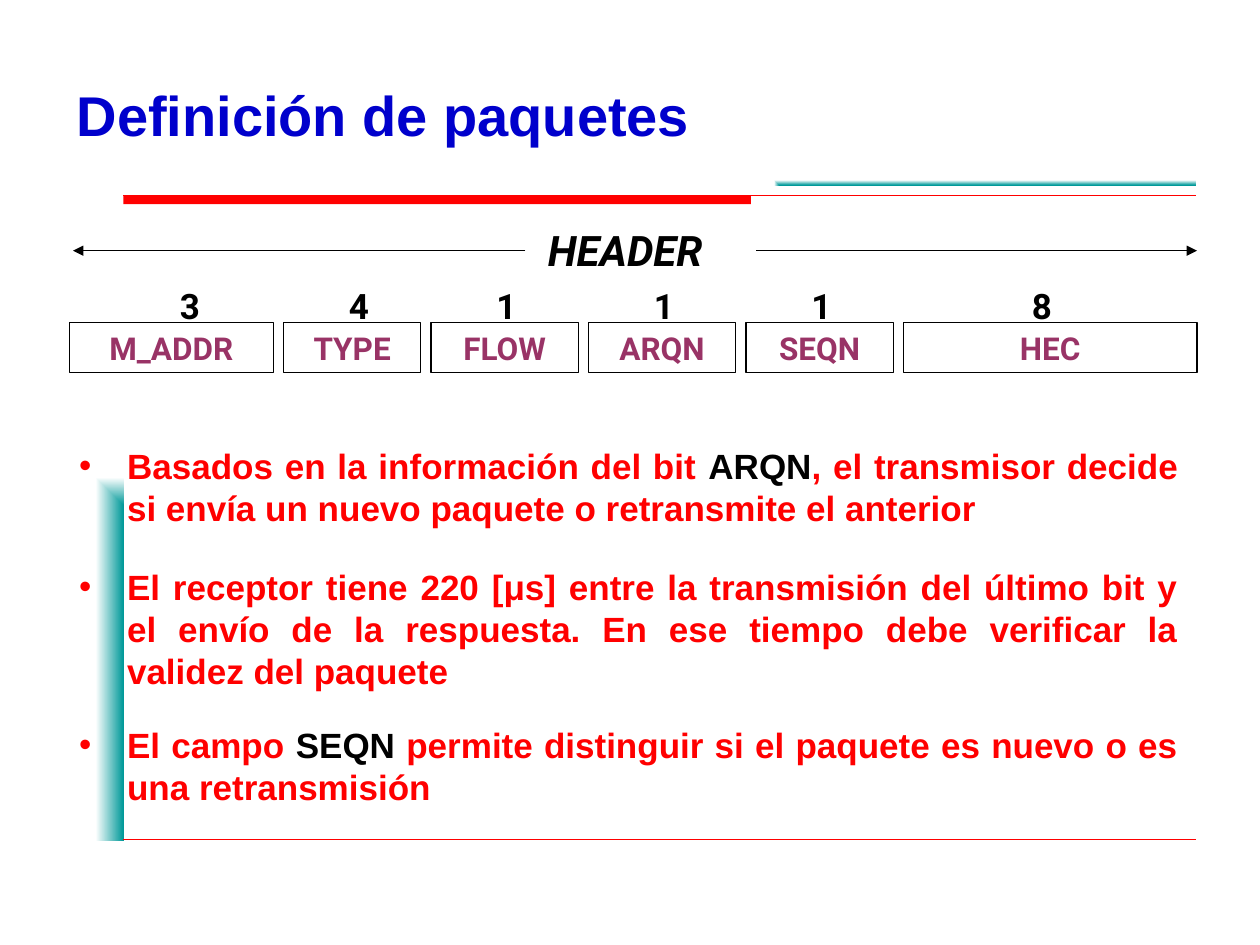
from dataclasses import dataclass

import pptx
import pptx.dml.color
import pptx.enum.shapes
import pptx.enum.text
import pptx.oxml
import pptx.oxml.ns
import pptx.util

Inches = pptx.util.Inches
Pt = pptx.util.Pt
ALIGN = pptx.enum.text.PP_ALIGN
ANCHOR = pptx.enum.text.MSO_ANCHOR
RECT = pptx.enum.shapes.MSO_SHAPE.RECTANGLE
STRAIGHT = pptx.enum.shapes.MSO_CONNECTOR.STRAIGHT
NS = pptx.oxml.ns.nsdecls("a")

RED, BLACK, TEAL = "FF0000", "000000", "009999"
GRADIENT = (
    f'<a:gradFill {NS} rotWithShape="1"><a:gsLst>'
    f'<a:gs pos="0"><a:srgbClr val="{TEAL}"/></a:gs>'
    '<a:gs pos="100000"><a:srgbClr val="FFFFFF"/></a:gs></a:gsLst>'
    '<a:path path="rect"><a:fillToRect l="100000" t="100000"/></a:path>'
    "</a:gradFill>"
)

TITLE_FONT = {"name": "Arial", "size": Pt(32), "bold": True}
BODY_FONT = {"name": "Arial", "size": Pt(20), "bold": True}
FIELD_FONT = {"name": "Roboto", "size": Pt(18), "bold": True}
BITS_FONT = {"name": "Roboto", "size": Pt(20), "bold": True}
HEADER_FONT = {"name": "Roboto", "size": Pt(24), "bold": True, "italic": True}


@dataclass
class Field:
    name: str
    width: float
    bits: str
    bits_left: float


@dataclass
class Bullet:
    runs: list[tuple[str, str]]
    space_before: float


FIELDS = [
    Field("M_ADDR", 1.62, "3", 1.33),
    Field("TYPE", 1.09, "4", 2.67),
    Field("FLOW", 1.17, "1", 3.84),
    Field("ARQN", 1.17, "1", 5.09),
    Field("SEQN", 1.17, "1", 6.34),
    Field("HEC", 2.33, "8", 8.09),
]
FIELD_LEFT, FIELD_GAP = 0.55, 0.08

BULLETS = [
    Bullet([
        ("Basados en la información del bit ", RED),
        ("ARQN", BLACK),
        (", el transmisor decide si envía un nuevo paquete o retransmite el anterior", RED),
    ], 0),
    Bullet([
        ("El receptor tiene 220 [μs] entre la transmisión del último bit y el envío "
         "de la respuesta. En ese tiempo debe verificar la validez del paquete", RED),
    ], 21),
    Bullet([
        ("El campo ", RED),
        ("SEQN", BLACK),
        (" permite distinguir si el paquete es nuevo o es una retransmisión", RED),
    ], 18.5),
]


def rgb(value: str) -> pptx.dml.color.RGBColor:
    return pptx.dml.color.RGBColor.from_string(value)


def apply(target, values: dict) -> None:
    for key, value in values.items():
        setattr(target, key, value)


def add_run(p, text: str, font: dict, color: str) -> None:
    r = p.add_run()
    r.text = text
    apply(r.font, font)
    r.font.color.rgb = rgb(color)


def add_text(s, box: tuple, text: str, font: dict, color: str,
             align=ALIGN.LEFT, anchor=ANCHOR.TOP, wrap: bool = False) -> None:
    sp = s.shapes.add_textbox(*map(Inches, box))
    tf = sp.text_frame
    apply(tf, {"word_wrap": wrap, "vertical_anchor": anchor})
    p = tf.paragraphs[0]
    p.alignment = align
    add_run(p, text, font, color)


def add_rect(s, box: tuple):
    sp = s.shapes.add_shape(RECT, *map(Inches, box))
    sp.shadow.inherit = False
    sp.fill.background()
    sp.line.fill.background()
    return sp


def add_gradient_bar(s, box: tuple) -> None:
    spPr = add_rect(s, box)._element.spPr
    no_fill = spPr.find(pptx.oxml.ns.qn("a:noFill"))
    spPr.replace(no_fill, pptx.oxml.parse_xml(GRADIENT))


def add_line(s, start: tuple, end: tuple, color: str, width: float,
             arrow: bool = False) -> None:
    sp = s.shapes.add_connector(STRAIGHT, *map(Inches, start + end))
    sp.line.color.rgb = rgb(color)
    sp.line.width = Pt(width)
    if arrow:
        sp.line._get_or_add_ln().append(
            pptx.oxml.parse_xml(f'<a:tailEnd {NS} type="triangle"/>'))
    sp._element.spPr.append(pptx.oxml.parse_xml(f"<a:effectLst {NS}/>"))


def add_field(s, field: Field, left: float) -> None:
    sp = add_rect(s, (left, 2.56, field.width, 0.4))
    sp.line.color.rgb = rgb(BLACK)
    sp.line.width = Pt(0.75)
    tf = sp.text_frame
    apply(tf, {"word_wrap": True, "vertical_anchor": ANCHOR.TOP})
    p = tf.paragraphs[0]
    p.alignment = ALIGN.CENTER
    add_run(p, field.name, FIELD_FONT, "993366")
    add_text(s, (field.bits_left, 2.21, 0.35, 0.43), field.bits,
             BITS_FONT, BLACK, ALIGN.CENTER)


def add_bullets(s, box: tuple, bullets: list[Bullet]) -> None:
    tf = s.shapes.add_textbox(*map(Inches, box)).text_frame
    tf.word_wrap = True
    for i, bullet in enumerate(bullets):
        p = tf.add_paragraph() if i else tf.paragraphs[0]
        apply(p, {"alignment": ALIGN.JUSTIFY, "line_spacing": Pt(24),
                  "space_before": Pt(bullet.space_before)})
        pPr = p._p.get_or_add_pPr()
        pPr.set("marL", str(Inches(0.38)))
        pPr.set("indent", str(Inches(-0.38)))
        pPr.append(pptx.oxml.parse_xml(f'<a:buFont {NS} typeface="Arial"/>'))
        pPr.append(pptx.oxml.parse_xml(f'<a:buChar {NS} char="•"/>'))
        for text, color in bullet.runs:
            add_run(p, text, BODY_FONT, color)


def main() -> None:
    prs = pptx.Presentation()
    prs.slide_width, prs.slide_height = Inches(10), Inches(7.5)
    s = prs.slides.add_slide(prs.slide_layouts[6])

    add_gradient_bar(s, (2.8, 1.39, 6.69, 0.08))
    add_gradient_bar(s, (0.54, 0.91, 0.44, 5.76))
    rule = add_rect(s, (0.98, 1.55, 4.98, 0.07))
    rule.fill.solid()
    rule.fill.fore_color.rgb = rgb(RED)
    add_line(s, (0.98, 1.55), (9.49, 1.55), RED, 0.75)
    add_line(s, (0.98, 6.66), (9.49, 6.66), RED, 0.25)

    add_text(s, (0.51, 0.28, 8.43, 1.25), "Definición de paquetes", TITLE_FONT,
             "0000CC", anchor=ANCHOR.MIDDLE, wrap=True)
    add_bullets(s, (0.53, 3.48, 8.92, 3.07), BULLETS)

    left = FIELD_LEFT
    for field in FIELDS:
        add_field(s, field, left)
        left += field.width + FIELD_GAP

    add_text(s, (4.25, 1.73, 1.59, 0.5), "HEADER", HEADER_FONT, BLACK)
    for start, end in ((4.17, 0.58), (6, 9.5)):
        add_line(s, (start, 1.99), (end, 1.99), BLACK, 0.75, arrow=True)

    prs.save("out.pptx")


if __name__ == "__main__":
    main()
